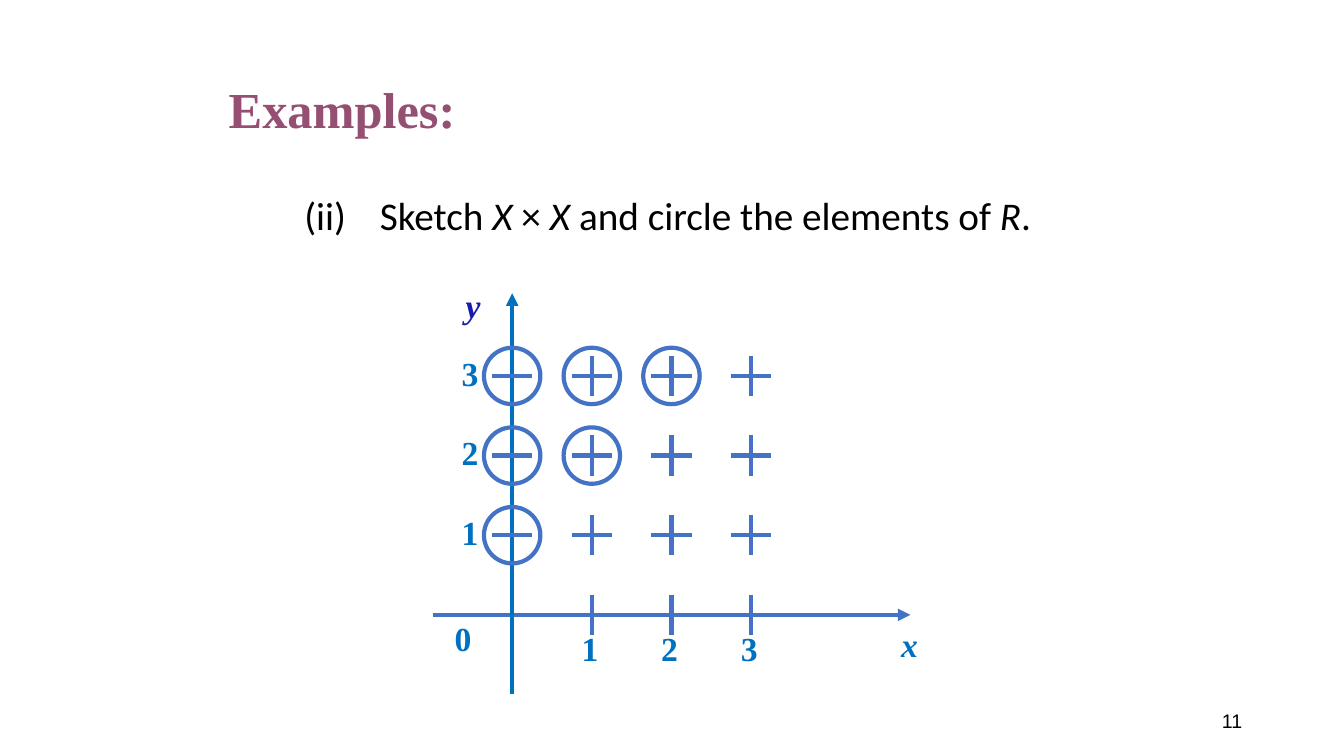
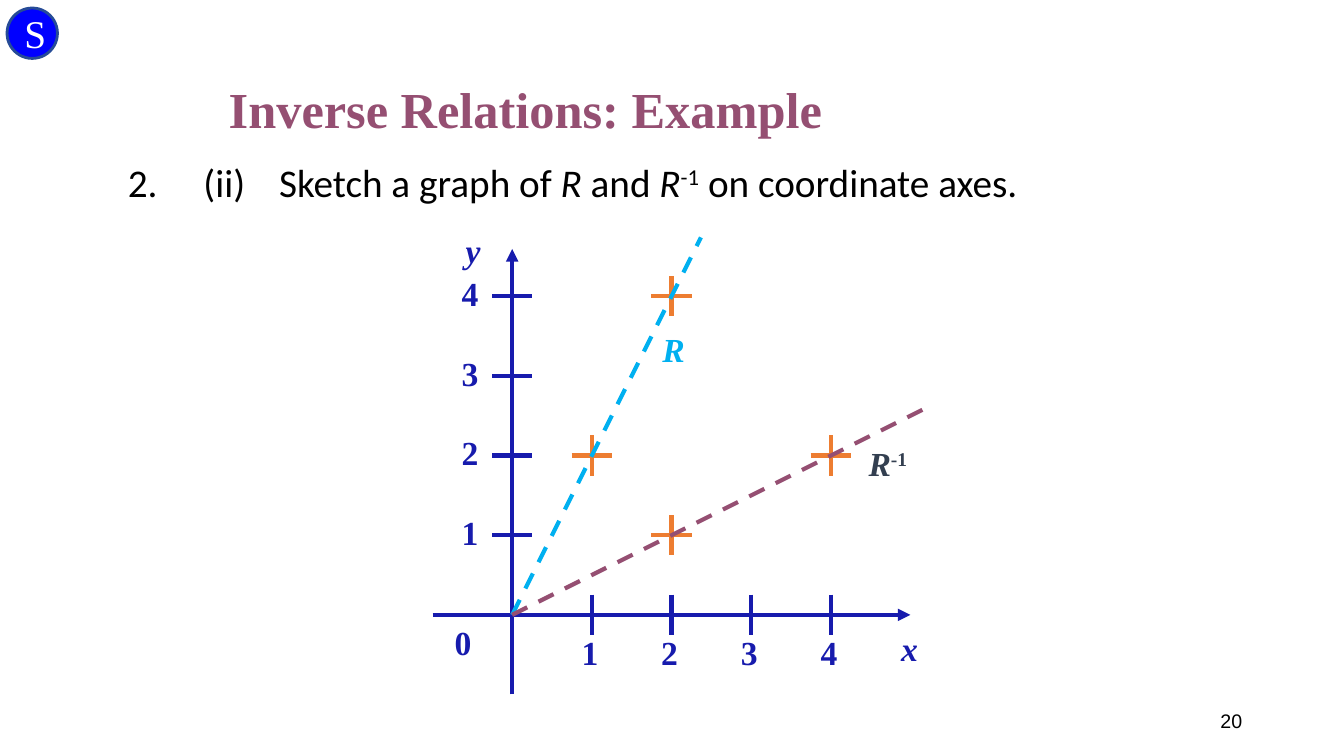
import dataclasses

import lxml.etree
import pptx
import pptx.dml.color
import pptx.enum.dml
import pptx.enum.shapes
import pptx.enum.text
import pptx.oxml
import pptx.oxml.ns
import pptx.util

Inches = pptx.util.Inches
RGBColor = pptx.dml.color.RGBColor
Shape = pptx.enum.shapes.MSO_SHAPE
Align = pptx.enum.text.PP_ALIGN
Anchor = pptx.enum.text.MSO_ANCHOR
qualified = pptx.oxml.ns.qn

PLUM = RGBColor(0x95, 0x4F, 0x72)
BLACK = RGBColor(0, 0, 0)
WHITE = RGBColor(0xFF, 0xFF, 0xFF)
STEEL = RGBColor(0x44, 0x72, 0xC4)
BLUE = RGBColor(0x00, 0x70, 0xC0)
NAVY = RGBColor(0x17, 0x1B, 0xAD)
ORANGE = RGBColor(0xED, 0x7D, 0x31)
SKY = RGBColor(0x00, 0xB0, 0xF0)
SLATE = RGBColor(0x33, 0x3F, 0x50)
BADGE_FILL = RGBColor(0x00, 0x00, 0xFF)
BADGE_EDGE = RGBColor(0x26, 0x4B, 0x97)

SERIF, SANS, NUMBER_FONT = "Times New Roman", "Calibri", "Arial"
TITLE_BOX = (2.17, 0.49, 9, 1.25)
NUMBER_BOX = (9.42, 6.95, 3, 0.4)
TAB_STOPS = (0.75, 1.5)
STEP = 0.79
TICK = 0.4
RING = 0.56
LINE_WIDTH = 3
LABEL_SIZE = (0.8, 0.5)
ITALIC = {"italic": True}
RAISED = {"italic": False, "raised": True}


@dataclasses.dataclass
class Plane:
    """Coordinate plane whose origin lies one step inside the lower left corner."""
    left: float
    top: float
    width: float
    height: float

    def point(self, x, y):
        """Turn plane coordinates into inches on the slide."""
        return (self.left + STEP * (x + 1),
                self.top + self.height - STEP * (y + 1))


def write(frame, runs, font=SERIF, size=24, color=BLACK, bold=False, italic=False,
          align=Align.LEFT, anchor=Anchor.TOP, spacing=None, before=0, tabs=()):
    """Fill a text frame with one paragraph of (text, format) runs or a plain string."""
    frame.word_wrap = True
    frame.vertical_anchor = anchor
    paragraph = frame.paragraphs[0]
    paragraph.alignment = align
    paragraph.line_spacing = spacing
    paragraph.space_before = pptx.util.Pt(before)
    if tabs:
        properties = paragraph._p.get_or_add_pPr()
        tab_list = lxml.etree.SubElement(properties, qualified("a:tabLst"))
        for stop in tabs:
            tab = lxml.etree.SubElement(tab_list, qualified("a:tab"))
            tab.set("pos", str(int(Inches(stop))))
            tab.set("algn", "l")
    for text, style in [(runs, {})] if isinstance(runs, str) else runs:
        run = paragraph.add_run()
        run.text = text
        run.font.name = font
        run.font.size = pptx.util.Pt(size)
        run.font.color.rgb = color
        run.font.bold = bold
        run.font.italic = style.get("italic", italic)
        if style.get("raised"):
            run._r.get_or_add_rPr().set("baseline", "30000")


def add_text(slide, box, runs, **style):
    """Add a text box at box (left, top, width, height)."""
    shape = slide.shapes.add_textbox(*map(Inches, box))
    write(shape.text_frame, runs, **style)


def add_label(slide, left, top, runs, color, **style):
    """Add a bold label of the graph."""
    add_text(slide, (left, top, *LABEL_SIZE), runs, color=color, bold=True, **style)


def add_line(slide, start, end, color, arrow=False, dashed=False):
    """Draw a straight line, with an arrowhead or dashes on request."""
    connector = slide.shapes.add_connector(
        pptx.enum.shapes.MSO_CONNECTOR.STRAIGHT, *map(Inches, (*start, *end)))
    connector.line.color.rgb = color
    connector.line.width = pptx.util.Pt(LINE_WIDTH)
    if dashed:
        connector.line.dash_style = pptx.enum.dml.MSO_LINE.DASH
    if arrow:
        head = lxml.etree.SubElement(connector.line._get_or_add_ln(), qualified("a:tailEnd"))
        head.set("type", "triangle")
    lxml.etree.SubElement(connector._element.spPr, qualified("a:effectLst"))


def add_oval(slide, box, color, width, kind=Shape.OVAL, fill=None):
    """Draw an outlined oval, hollow unless a fill is given."""
    shape = slide.shapes.add_shape(kind, *map(Inches, box))
    shape.shadow.inherit = False
    shape.line.color.rgb = color
    shape.line.width = pptx.util.Pt(width)
    if fill is None:
        shape.fill.background()
    else:
        shape.fill.solid()
        shape.fill.fore_color.rgb = fill
    return shape


def add_tick(slide, center, color, upright):
    """Draw a short line centred on a point."""
    x, y = center
    across, up = (0, TICK / 2) if upright else (TICK / 2, 0)
    add_line(slide, (x - across, y - up), (x + across, y + up), color)


def add_cross(slide, center, color):
    """Mark a point with an upright and a level tick."""
    for upright in (True, False):
        add_tick(slide, center, color, upright)


def add_ring(slide, center, color):
    """Circle a point."""
    x, y = center
    add_oval(slide, (x - RING / 2, y - RING / 2, RING, RING), color, LINE_WIDTH)


def add_axes(slide, plane, count, x_color, y_color, tick_color, label_color, gap, rise):
    """Draw both axes with ticks and numbers up to count and the axis names."""
    origin_x, origin_y = plane.point(0, 0)
    right = plane.left + plane.width
    bottom = plane.top + plane.height
    add_line(slide, (plane.left, origin_y), (right, origin_y), x_color, arrow=True)
    add_line(slide, (origin_x, bottom), (origin_x, plane.top), y_color, arrow=True)
    for value in range(1, count + 1):
        x, _ = on_x = plane.point(value, 0)
        _, y = on_y = plane.point(0, value)
        add_tick(slide, on_x, tick_color, upright=True)
        add_tick(slide, on_y, tick_color, upright=False)
        add_label(slide, x - 0.2, origin_y + gap, str(value), label_color)
        add_label(slide, origin_x - 0.6, y - 0.28, str(value), label_color)
    add_label(slide, origin_x - 0.67, origin_y + gap - 0.1, "0", label_color)
    add_label(slide, right - 0.19, origin_y + gap - 0.04, "x", label_color, italic=True)
    add_label(slide, origin_x - 0.56, plane.top - rise, "y", NAVY, italic=True)


def add_product_graph(slide, plane):
    """Mark the grid of X × X and circle the pairs with x below y."""
    add_axes(slide, plane, 3, STEEL, BLUE, STEEL, BLUE, gap=0.08, rise=0.13)
    for x in range(4):
        for y in range(1, 4):
            if x > 0:
                add_cross(slide, plane.point(x, y), STEEL)
            if x < y:
                add_ring(slide, plane.point(x, y), STEEL)


def add_inverse_graph(slide, plane):
    """Draw a relation and its inverse as dashed lines through marked points."""
    add_axes(slide, plane, 4, NAVY, NAVY, NAVY, NAVY, gap=0.12, rise=0.24)
    origin = plane.point(0, 0)
    add_cross(slide, origin, NAVY)
    for x in (1, 2):
        add_cross(slide, plane.point(x, 2 * x), ORANGE)
        add_cross(slide, plane.point(2 * x, x), ORANGE)
    add_line(slide, origin, plane.point(2.37, 4.74), SKY, dashed=True)
    add_line(slide, origin, plane.point(5.26, 2.63), PLUM, dashed=True)
    add_label(slide, *plane.point(1.76, 3.65), "R", SKY, italic=True)
    add_label(slide, *plane.point(4.35, 2.22), [("R", ITALIC), ("-1", RAISED)], SLATE)


def add_badge(slide, box):
    """Add the round letter badge."""
    shape = add_oval(slide, box, BADGE_EDGE, 2, Shape.FLOWCHART_CONNECTOR, BADGE_FILL)
    write(shape.text_frame, "S", size=28, color=WHITE,
          align=Align.CENTER, anchor=Anchor.MIDDLE)


def add_example_slide(presentation, title, number, task, task_box):
    """Add a slide with its title, task line and page number."""
    slide = presentation.slides.add_slide(presentation.slide_layouts[6])
    add_text(slide, NUMBER_BOX, number, font=NUMBER_FONT, size=14,
             align=Align.RIGHT, anchor=Anchor.MIDDLE)
    add_text(slide, TITLE_BOX, title, size=36, color=PLUM, bold=True,
             anchor=Anchor.MIDDLE, spacing=0.9)
    add_text(slide, task_box, task, font=SANS, size=28, spacing=0.9,
             before=7.5, tabs=TAB_STOPS)
    return slide


def main():
    """Build and save the presentation."""
    presentation = pptx.Presentation()
    presentation.slide_width = Inches(13.33)
    presentation.slide_height = Inches(7.5)

    product_task = [("\t(ii)\tSketch ", {}), ("X", ITALIC), (" × ", {}), ("X", ITALIC),
                    (" and circle the elements of ", {}), ("R", ITALIC), (".", {})]
    slide = add_example_slide(presentation, "Examples:", "11", product_task,
                              (2.17, 1.9, 9, 0.6))
    add_product_graph(slide, Plane(4.29, 2.91, 4.74, 3.98))

    inverse_task = [("2.\t(ii)\tSketch a graph of ", {}), ("R", ITALIC), (" and ", {}),
                    ("R", ITALIC), ("-1", RAISED), (" on coordinate axes.", {})]
    slide = add_example_slide(presentation, "Inverse Relations: Example", "20",
                              inverse_task, (1.17, 1.57, 10.53, 0.6))
    add_inverse_graph(slide, Plane(4.29, 2.47, 4.74, 4.42))
    add_badge(slide, (0.07, 0.08, 0.5, 0.5))

    presentation.save("out.pptx")


main()
